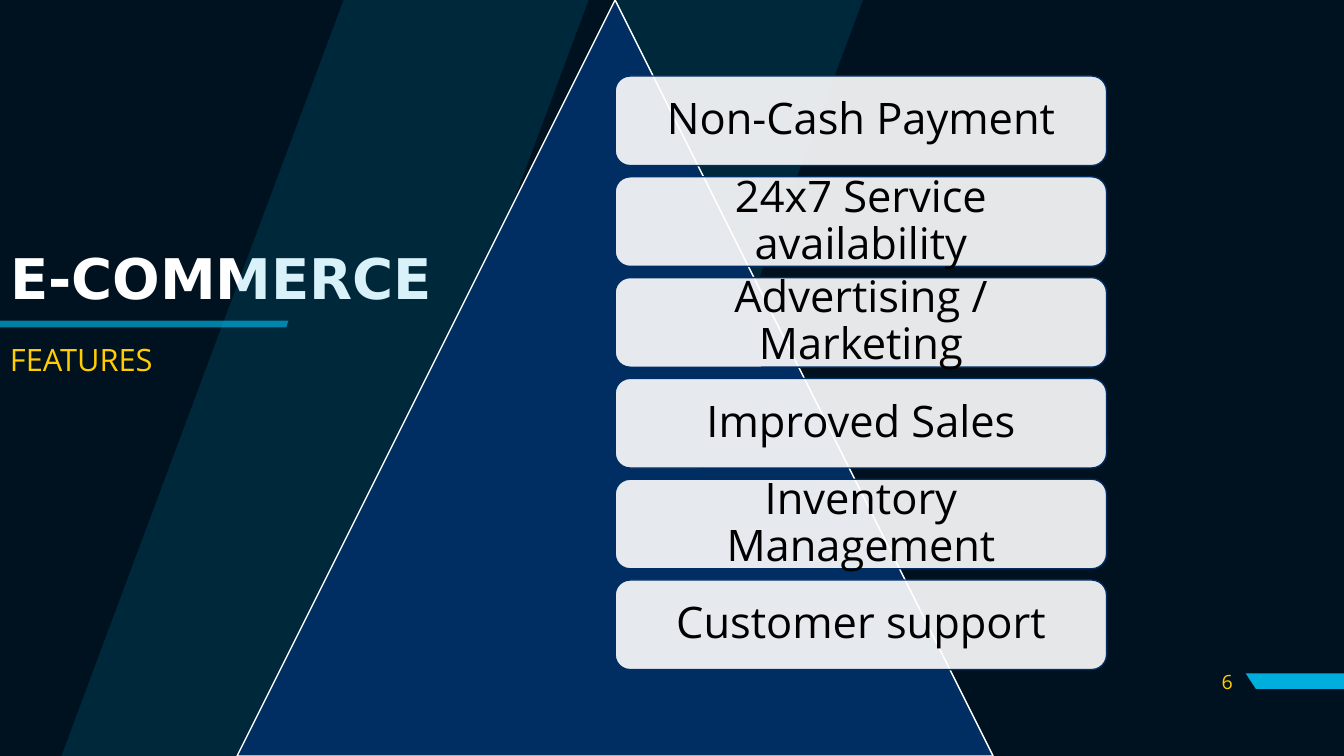
from lxml import etree
from pptx import Presentation
from pptx.dml.color import RGBColor
from pptx.enum.shapes import MSO_SHAPE
from pptx.enum.text import MSO_ANCHOR, PP_ALIGN
from pptx.oxml.ns import qn
from pptx.util import Pt

TRIANGLE, ROUND = MSO_SHAPE.ISOSCELES_TRIANGLE, MSO_SHAPE.ROUNDED_RECTANGLE
TOP, MIDDLE = MSO_ANCHOR.TOP, MSO_ANCHOR.MIDDLE
LEFT, CENTER, RIGHT = PP_ALIGN.LEFT, PP_ALIGN.CENTER, PP_ALIGN.RIGHT

COLORS = {"night": "00111F", "cyan": "00AEDE", "navy": "002E62",
          "gold": "FFCD00", "white": "FFFFFF", "black": "000000"}
FEATURES = ["Non-Cash Payment", "24x7 Service availability",
            "Advertising / Marketing", "Improved Sales",
            "Inventory Management", "Customer support"]
WIDTH, HEIGHT = 960, 540


class Canvas:
    def __init__(self, slide):
        self.slide = slide
        self.font = "Open Sans"
        self.paint(slide.background.fill, "night")

    def paint(self, fill, color):
        fill.solid()
        fill.fore_color.rgb = RGBColor.from_string(COLORS[color])

    def fade(self, shape, alpha):
        """Set the opacity of a shape's solid fill in percent."""
        tint = shape.element.spPr.find(qn("a:solidFill"))[0]
        etree.SubElement(tint, qn("a:alpha")).set("val", str(alpha * 1000))

    def style(self, shape, fill, line=None, alpha=100):
        shape.shadow.inherit = False
        self.paint(shape.fill, fill)
        if alpha < 100:
            self.fade(shape, alpha)
        if line:
            self.paint(shape.line.fill, line)
            shape.line.width = Pt(1)
        else:
            shape.line.fill.background()
        return shape

    def shape(self, kind, box, fill, line, alpha=100):
        item = self.slide.shapes.add_shape(kind, *map(Pt, box))
        return self.style(item, fill, line, alpha)

    def outline(self, points, fill, alpha=100):
        start, *rest = [(Pt(x), Pt(y)) for x, y in points]
        pen = self.slide.shapes.build_freeform(*start)
        pen.add_line_segments(rest, close=True)
        return self.style(pen.convert_to_shape(), fill, alpha=alpha)

    def text(self, shape, words, size, color, align=LEFT, anchor=MIDDLE,
             font=None, bold=False, spacing=0.9):
        frame = shape.text_frame
        frame.word_wrap = True
        frame.vertical_anchor = anchor
        para = frame.paragraphs[0]
        para.alignment = align
        para.line_spacing = spacing
        run = para.add_run()
        run.text = words
        run.font.name = font or self.font
        run.font.size = Pt(size)
        run.font.bold = bold
        run.font.color.rgb = RGBColor.from_string(COLORS[color])

    def label(self, box, *args, **kwargs):
        item = self.slide.shapes.add_textbox(*map(Pt, box))
        self.text(item, *args, **kwargs)

    def title(self, box, *args, **kwargs):
        item = self.slide.shapes.title
        item.left, item.top, item.width, item.height = map(Pt, box)
        self.text(item, *args, **kwargs)

    def card(self, box, words):
        item = self.shape(ROUND, box, "white", "navy", alpha=90)
        frame = item.text_frame
        frame.margin_left = frame.margin_right = Pt(9.4)
        frame.margin_top = frame.margin_bottom = Pt(9.4)
        self.text(item, words, 31, "black", CENTER)


def main():
    deck = Presentation()
    deck.slide_width, deck.slide_height = Pt(WIDTH), Pt(HEIGHT)
    canvas = Canvas(deck.slides.add_slide(deck.slide_layouts[5]))

    band, slant = 175, 201.6
    for left in (441.4, 245.5):
        canvas.outline([(left, 0), (left + band, 0),
                        (left + band - slant, HEIGHT), (left - slant, HEIGHT)],
                       "cyan", alpha=15)
    canvas.outline([(WIDTH, 481), (WIDTH, 492), (897, 492), (889.8, 481)],
                   "cyan")
    canvas.outline([(0, 229), (0, 233.8), (204.5, 233.8), (206, 229)],
                   "cyan", alpha=70)

    canvas.label((844.6, 472.5, 43, 28.8), "6", 14, "gold", RIGHT, spacing=1)
    canvas.title((0, 141, 320, 120), "E-COMMERCE", 40, "white",
                 font="DejaVu Sans", bold=True)
    canvas.label((0, 242.6, 222.5, 170), "FEATURES", 22, "gold", anchor=TOP)

    canvas.shape(TRIANGLE, (169.4, 0, HEIGHT, HEIGHT), "navy", "white")
    for row, words in enumerate(FEATURES):
        canvas.card((439.4, 54.3 + 72 * row, 351, 64), words)

    deck.save("out.pptx")


if __name__ == "__main__":
    main()
